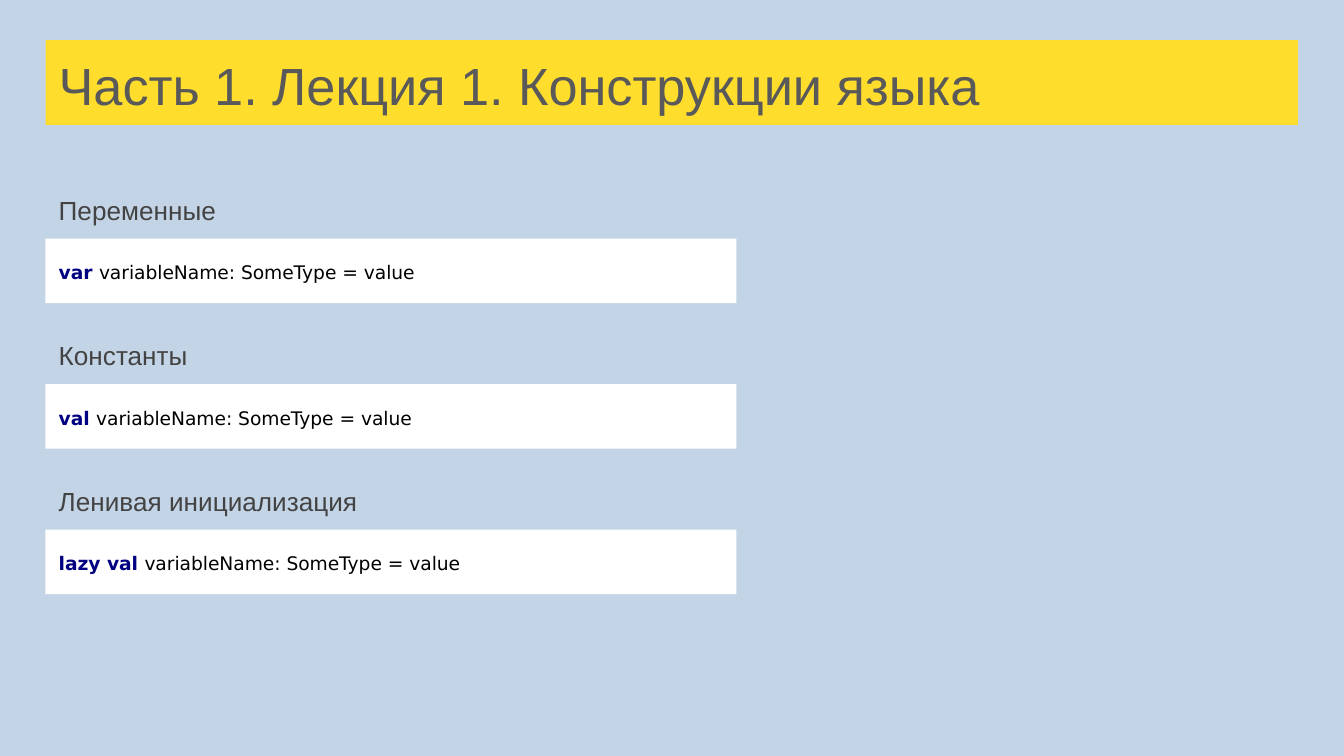
from dataclasses import dataclass

import pptx
import pptx.dml.color
import pptx.enum.shapes
import pptx.enum.text
import pptx.util
from pptx.util import Cm

COLORS = {
    "background": "C3D4E6",
    "banner": "FFDD2D",
    "title": "595959",
    "heading": "434343",
    "code_box": "FFFFFF",
    "keyword": "000080",
    "code": "000000",
}
TEXT_FONT = "Arial"
CODE_FONT = "DejaVu Sans"

LEFT = 0.86
HEADING_TOP = 3.33
CODE_TOP = 4.51
ROW_PITCH = 2.75
DECLARATION = "variableName: SomeType = value"


@dataclass
class Example:
    heading: str
    keyword: str


EXAMPLES = [
    Example("Переменные", "var "),
    Example("Константы", "val "),
    Example("Ленивая инициализация", "lazy val "),
]


def rgb(name: str) -> pptx.dml.color.RGBColor:
    return pptx.dml.color.RGBColor.from_string(COLORS[name])


def format_run(run, font: str, size: float, color: str, bold: bool = False) -> None:
    run.font.name = font
    run.font.size = pptx.util.Pt(size)
    run.font.bold = bold
    run.font.color.rgb = rgb(color)


def prepare_frame(text_frame, anchor) -> None:
    text_frame.word_wrap = True
    text_frame.auto_size = pptx.enum.text.MSO_AUTO_SIZE.NONE
    text_frame.vertical_anchor = anchor
    text_frame.margin_left = text_frame.margin_right = Cm(0.25)
    text_frame.margin_top = text_frame.margin_bottom = Cm(0.25)
    text_frame.paragraphs[0].alignment = pptx.enum.text.PP_ALIGN.LEFT


def space_paragraph(paragraph) -> None:
    paragraph.line_spacing = 1.15
    paragraph.space_after = pptx.util.Pt(1)


def add_title(slide, text: str) -> None:
    title = slide.shapes.title
    title.left, title.top = Cm(LEFT), Cm(0.76)
    title.width, title.height = Cm(23.67), Cm(1.6)
    title.fill.solid()
    title.fill.fore_color.rgb = rgb("banner")
    title.text_frame.text = text
    prepare_frame(title.text_frame, pptx.enum.text.MSO_ANCHOR.TOP)
    format_run(title.text_frame.paragraphs[0].runs[0], TEXT_FONT, 28, "title")


def add_heading(slide, text: str, top: float) -> None:
    box = slide.shapes.add_textbox(Cm(LEFT), Cm(top), Cm(10.34), Cm(1.2))
    box.text_frame.text = text
    prepare_frame(box.text_frame, pptx.enum.text.MSO_ANCHOR.TOP)
    paragraph = box.text_frame.paragraphs[0]
    space_paragraph(paragraph)
    format_run(paragraph.runs[0], TEXT_FONT, 14, "heading")


def add_code(slide, keyword: str, top: float) -> None:
    shape = slide.shapes.add_shape(
        pptx.enum.shapes.MSO_SHAPE.RECTANGLE,
        Cm(LEFT), Cm(top), Cm(13.06), Cm(1.22),
    )
    shape.shadow.inherit = False
    shape.fill.solid()
    shape.fill.fore_color.rgb = rgb("code_box")
    shape.line.fill.background()
    shape.text_frame.text = keyword
    prepare_frame(shape.text_frame, pptx.enum.text.MSO_ANCHOR.MIDDLE)
    paragraph = shape.text_frame.paragraphs[0]
    space_paragraph(paragraph)
    format_run(paragraph.runs[0], CODE_FONT, 10, "keyword", bold=True)
    declaration = paragraph.add_run()
    declaration.text = DECLARATION
    format_run(declaration, CODE_FONT, 10, "code")


def main() -> None:
    presentation = pptx.Presentation()
    presentation.slide_width = Cm(25.4)
    presentation.slide_height = Cm(14.29)
    slide = presentation.slides.add_slide(presentation.slide_layouts.get_by_name("Title Only"))
    slide.background.fill.solid()
    slide.background.fill.fore_color.rgb = rgb("background")

    # Title banner
    add_title(slide, "Часть 1. Лекция 1. Конструкции языка")

    # Headings, each with its code line below
    for row, example in enumerate(EXAMPLES):
        add_heading(slide, example.heading, HEADING_TOP + row * ROW_PITCH)
        add_code(slide, example.keyword, CODE_TOP + row * ROW_PITCH)

    presentation.save("out.pptx")


if __name__ == "__main__":
    main()
